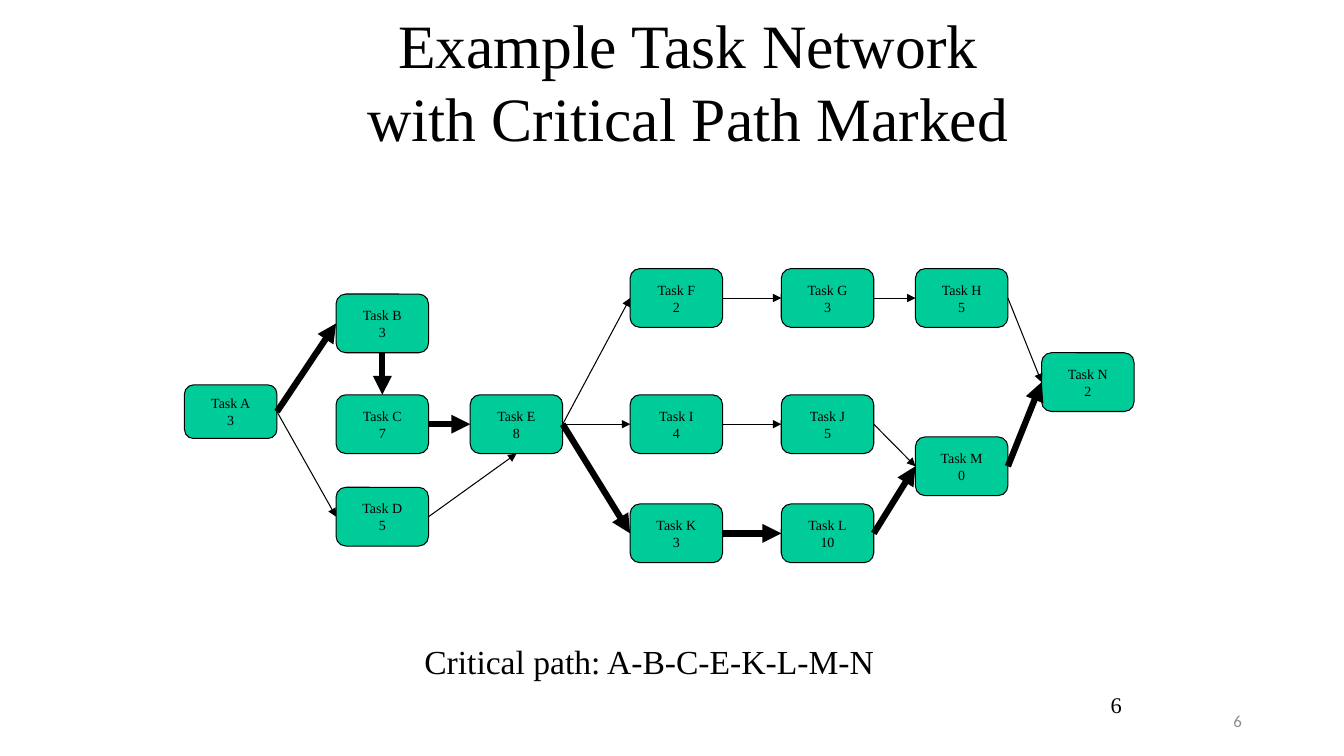
from lxml.etree import SubElement
from pptx import Presentation
from pptx.dml.color import RGBColor
from pptx.enum.shapes import MSO_CONNECTOR as Connector, MSO_SHAPE as Shape
from pptx.enum.text import MSO_ANCHOR as Anchor, MSO_AUTO_SIZE as AutoSize, PP_ALIGN as Align
from pptx.oxml.ns import qn
from pptx.util import Cm, Pt

COLORS = {"ink": "000000", "task": "00CC99", "footer": "8C8C8C"}
SERIF = "Times New Roman"
TOP, LEFT, BOTTOM, RIGHT = range(4)

BOX_WIDTH, BOX_HEIGHT = 2.33, 1.48
COLUMNS = [4.65, 8.47, 11.85, 15.88, 19.69, 23.07, 26.25]

# Task: duration, column, top, height
TASKS = {
    "A": (3, 0, 9.7, 1.35),
    "B": (3, 1, 7.41, BOX_HEIGHT),
    "C": (7, 1, 9.95, BOX_HEIGHT),
    "D": (5, 1, 12.28, BOX_HEIGHT),
    "E": (8, 2, 9.95, BOX_HEIGHT),
    "F": (2, 3, 6.77, BOX_HEIGHT),
    "G": (3, 4, 6.77, BOX_HEIGHT),
    "H": (5, 5, 6.77, BOX_HEIGHT),
    "I": (4, 3, 9.95, BOX_HEIGHT),
    "J": (5, 4, 9.95, BOX_HEIGHT),
    "K": (3, 3, 12.7, BOX_HEIGHT),
    "L": (10, 4, 12.7, BOX_HEIGHT),
    "M": (0, 5, 11.01, BOX_HEIGHT),
    "N": (2, 6, 8.89, BOX_HEIGHT),
}
CRITICAL_PATH = "A-B-C-E-K-L-M-N"
DEPENDENCIES = "AB AD BC CE DE EF EI EK FG GH HN IJ JM KL LM MN".split()
# Arrows that do not run from a right side to a left side
SIDES = {"BC": (BOTTOM, TOP), "DE": (RIGHT, BOTTOM)}


def rgb(name):
    return RGBColor.from_string(COLORS[name])


def add_run(paragraph, text, size, font=SERIF, color="ink"):
    run = paragraph.add_run()
    run.text = text
    run.font.size = Pt(size)
    run.font.name = font
    run.font.color.rgb = rgb(color)


def add_text(slide, place, lines, size, align=Align.CENTER, anchor=Anchor.TOP,
             wrap=True, **style):
    box = slide.shapes.add_textbox(*map(Cm, place))
    frame = box.text_frame
    frame.word_wrap = wrap
    frame.vertical_anchor = anchor
    paragraph = frame.paragraphs[0]
    paragraph.alignment = align
    for number, line in enumerate(lines):
        if number:
            paragraph.add_line_break()
        add_run(paragraph, line, size, **style)
    return box


def add_task(slide, name, duration, column, top, height):
    task = slide.shapes.add_shape(Shape.ROUNDED_RECTANGLE, Cm(COLUMNS[column]), Cm(top),
                                  Cm(BOX_WIDTH), Cm(height))
    task.shadow.inherit = False
    task.fill.solid()
    task.fill.fore_color.rgb = rgb("task")
    task.line.color.rgb = rgb("ink")
    task.line.width = Pt(0.75)
    frame = task.text_frame
    frame.word_wrap = False
    frame.vertical_anchor = Anchor.MIDDLE
    label = frame.paragraphs[0]
    for paragraph, text in ((label, f"Task {name}"), (frame.add_paragraph(), str(duration))):
        paragraph.alignment = Align.CENTER
        add_run(paragraph, text, 10)
    return task


def add_arrow(slide, start, end, sides, critical):
    arrow = slide.shapes.add_connector(Connector.STRAIGHT, 0, 0, 0, 0)
    arrow.begin_connect(start, sides[0])
    arrow.end_connect(end, sides[1])
    arrow.line.color.rgb = rgb("ink")
    arrow.line.width = Pt(4.5 if critical else 0.75)
    SubElement(arrow.line._get_or_add_ln(), qn("a:tailEnd"), type="triangle")
    SubElement(arrow._element.spPr, qn("a:effectLst"))


def main():
    deck = Presentation()
    deck.slide_width, deck.slide_height = Cm(33.87), Cm(19.05)
    slide = deck.slides.add_slide(deck.slide_layouts[6])

    # Slide numbers
    add_text(slide, (23.93, 17.65, 7.62, 1.02), ["6"], 12, Align.RIGHT, Anchor.MIDDLE,
             font="Calibri", color="footer")
    number = add_text(slide, (27.74, 17.35, 1.47, 1.27), ["6"], 16, Align.LEFT)
    number.text_frame.paragraphs[0].line_spacing = 0.95

    # Title
    add_text(slide, (6.55, 0.03, 21.59, 3.99),
             ["Example Task Network", "with Critical Path Marked"], 44, anchor=Anchor.MIDDLE)

    # Task network
    tasks = {name: add_task(slide, name, *details) for name, details in TASKS.items()}
    critical_steps = CRITICAL_PATH.replace("-", "")
    for step in DEPENDENCIES:
        start, end = step
        add_arrow(slide, tasks[start], tasks[end], SIDES.get(step, (RIGHT, LEFT)),
                  step in critical_steps)

    # Critical path
    summary = add_text(slide, (10.44, 16.03, 11.84, 1.27),
                       [f"Critical path: {CRITICAL_PATH}"], 24, wrap=False)
    summary.text_frame.auto_size = AutoSize.SHAPE_TO_FIT_TEXT

    deck.save("out.pptx")


if __name__ == "__main__":
    main()
